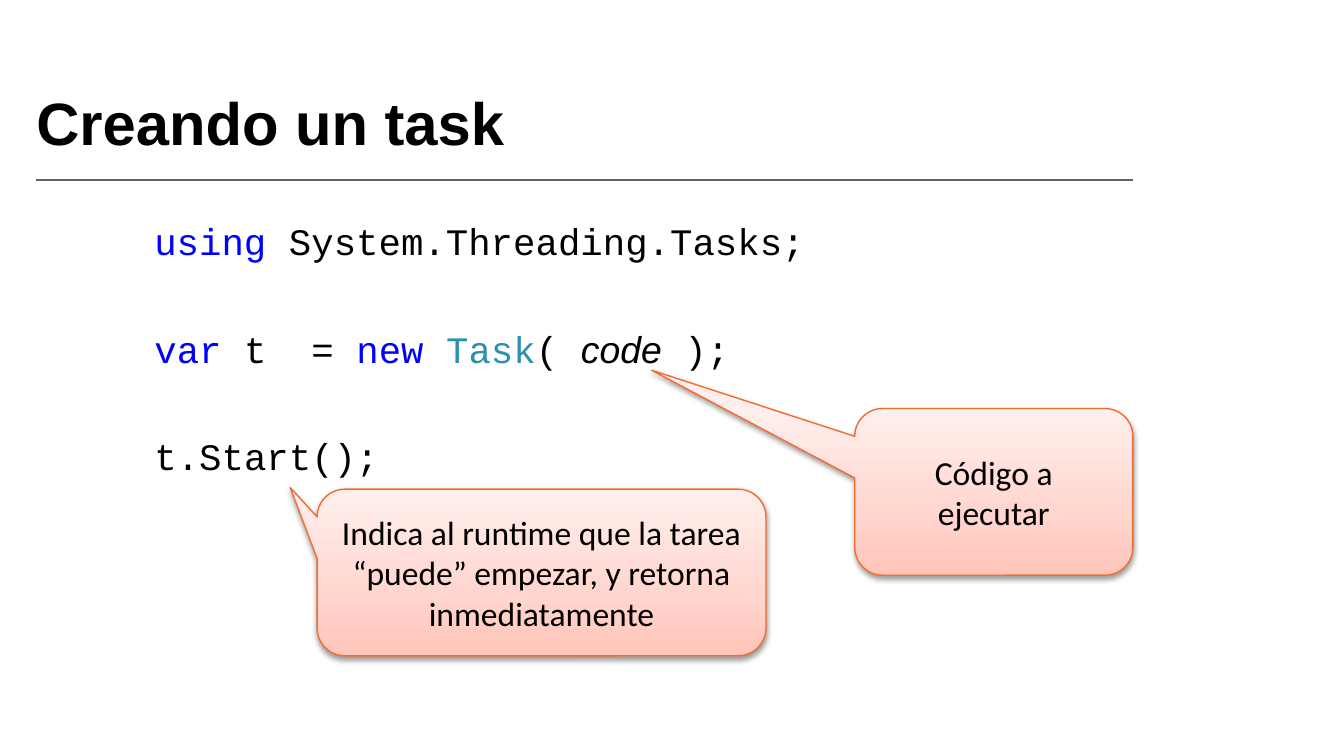
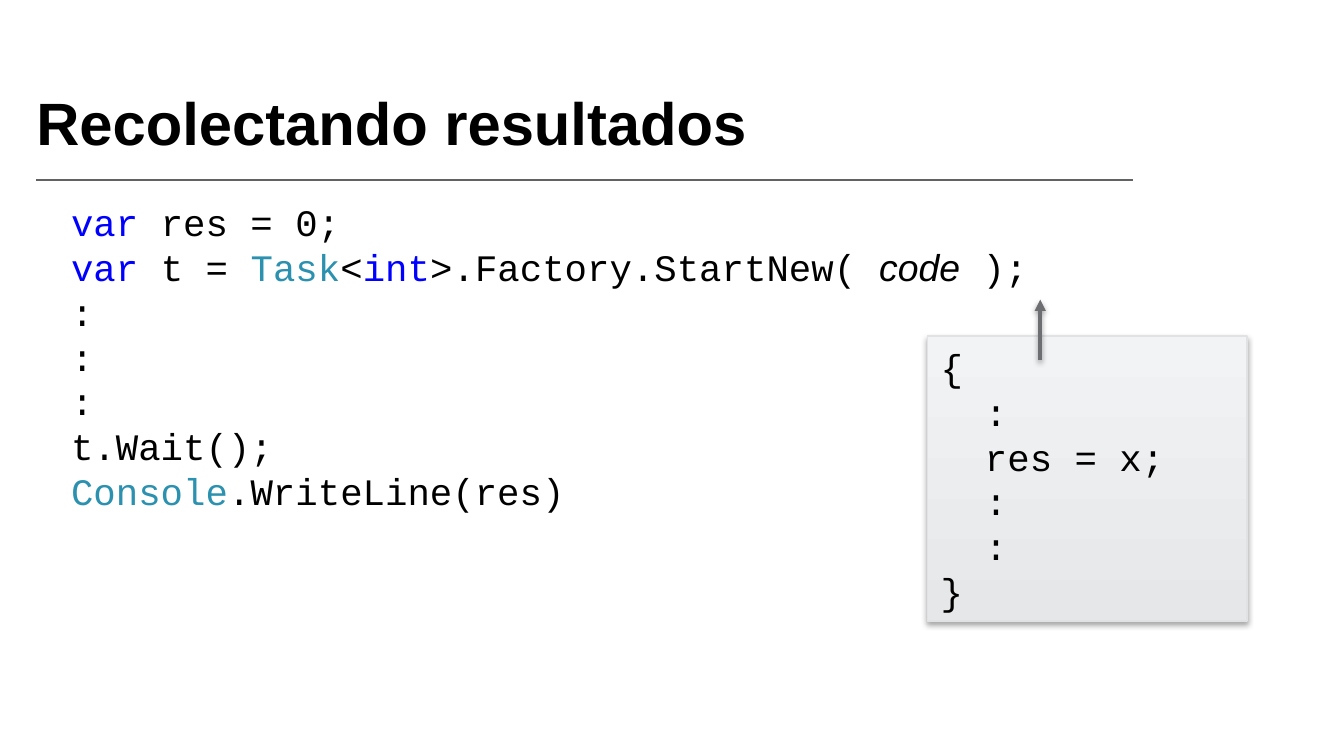
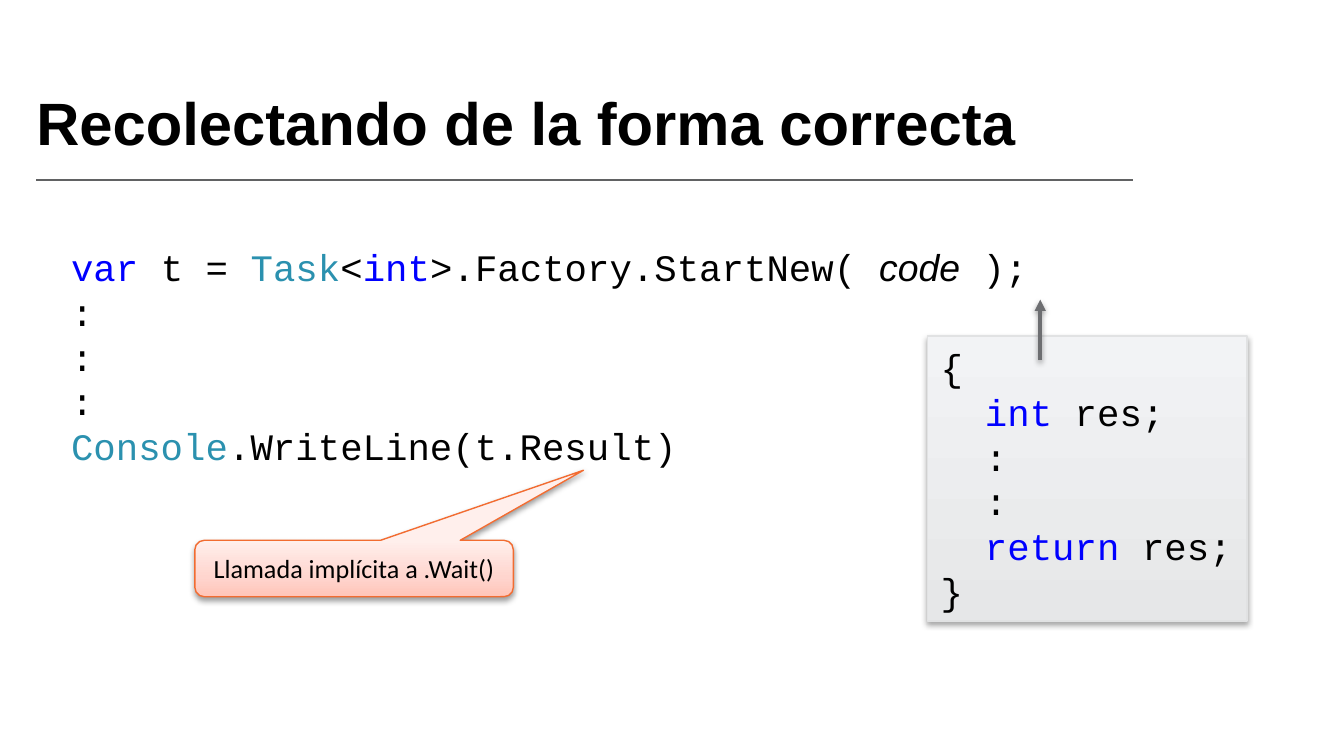
from pptx import Presentation
from pptx.dml.color import RGBColor
from pptx.enum.shapes import MSO_CONNECTOR, MSO_SHAPE
from pptx.enum.text import MSO_ANCHOR, MSO_AUTO_SIZE, PP_ALIGN
from pptx.oxml import parse_xml
from pptx.oxml.ns import nsdecls, qn
from pptx.util import Inches, Pt

COLORS = {
    "text": "000000",
    "background": "FFFFFF",
    "keyword": "0000FF",
    "type": "2B91AF",
    "rule": "616263",
    "arrow": "6D6E71",
    "callout_line": "F26C31",
    "block_line": "E1E2E3",
}
CALLOUT_STOPS = [(0, "FFC5B9"), (35, "FFD5CE"), (100, "FFEFEC")]
BLOCK_STOPS = [(0, "E6E7E8"), (100, "F2F3F5")]

KEYWORD = {"color": "keyword"}
TYPE = {"color": "type"}
TOKEN_FORMATS = {
    "using": KEYWORD, "var": KEYWORD, "new": KEYWORD, "int": KEYWORD,
    "return": KEYWORD, "Task": TYPE, "Console": TYPE,
    "code": {"font": "Arial", "italic": True},
}
START_TASK = "var| t = |Task|<|int|>.Factory.StartNew( |code| );"
INDENT = Inches(0.33)


def rgb(name):
    return RGBColor.from_string(COLORS[name])


def add_run(p, text, font="Courier New", size=20, color="text", bold=False, italic=False):
    r = p.add_run()
    r.text = text
    r.font.name = font
    r.font.size = Pt(size)
    r.font.color.rgb = rgb(color)
    r.font.bold = bold
    r.font.italic = italic


def set_gradient(shape, stops):
    """Fill from bottom (first stop) to top (last stop)."""
    gs = "".join(f'<a:gs pos="{pos * 1000}"><a:srgbClr val="{color}"/></a:gs>'
                 for pos, color in stops)
    geometry = shape._element.spPr.find(qn("a:prstGeom"))
    geometry.addnext(parse_xml(
        f'<a:gradFill {nsdecls("a")} rotWithShape="1"><a:gsLst>{gs}</a:gsLst>'
        '<a:lin ang="16200000" scaled="0"/></a:gradFill>'))


def set_shadow(shape, alpha=None, distance=1.6):
    """Drop a shadow straight down, or none when alpha is missing."""
    shadow = "" if alpha is None else (
        f'<a:outerShdw blurRad="{Pt(3.1)}" dist="{Pt(distance)}" dir="5400000" '
        f'rotWithShape="0"><a:srgbClr val="000000"><a:alpha val="{alpha * 1000}"/>'
        '</a:srgbClr></a:outerShdw>')
    shape._element.spPr.append(
        parse_xml(f'<a:effectLst {nsdecls("a")}>{shadow}</a:effectLst>'))


def add_line(s, x1, y1, x2, y2, color, width):
    line = s.shapes.add_connector(MSO_CONNECTOR.STRAIGHT, Inches(x1), Inches(y1),
                                  Inches(x2), Inches(y2))
    line.line.color.rgb = rgb(color)
    line.line.width = Pt(width)
    return line


def add_arrow(s):
    """Point from the code block up to the call that runs it."""
    arrow = add_line(s, 7.74, 2.68, 7.74, 2.23, "arrow", 2)
    arrow.line._get_or_add_ln().append(
        parse_xml(f'<a:tailEnd {nsdecls("a")} type="triangle"/>'))
    set_shadow(arrow, alpha=38)


def add_slide(prs, title, width=9.1):
    s = prs.slides.add_slide(prs.slide_layouts[0])
    subtitle = s.placeholders[1]._element
    subtitle.getparent().remove(subtitle)
    sp = s.shapes.title
    sp.left, sp.top, sp.width, sp.height = (Inches(v) for v in (0.27, 0.64, width, 0.64))
    tf = sp.text_frame
    tf.margin_left = tf.margin_right = tf.margin_top = tf.margin_bottom = 0
    tf.vertical_anchor = MSO_ANCHOR.TOP
    p = tf.paragraphs[0]
    p.alignment = PP_ALIGN.LEFT
    add_run(p, title, font="Arial", size=32, bold=True)
    set_shadow(add_line(s, 0.27, 1.34, 8.43, 1.34, "rule", 1))
    return s


def add_box(s, kind, x, y, w, h):
    sp = s.shapes.add_shape(kind, Inches(x), Inches(y), Inches(w), Inches(h))
    sp.text_frame.word_wrap = True
    sp.text_frame.vertical_anchor = MSO_ANCHOR.MIDDLE
    return sp


def set_outline(sp, color):
    sp.line.color.rgb = rgb(color)
    sp.line.width = Pt(0.75)


def write_code(tf, lines, indented=()):
    """Write code lines whose tokens are split by |; indented holds line numbers."""
    tf.auto_size = MSO_AUTO_SIZE.SHAPE_TO_FIT_TEXT
    for i, line in enumerate(lines):
        p = tf.paragraphs[0] if i == 0 else tf.add_paragraph()
        p.alignment = PP_ALIGN.LEFT
        if i in indented:
            p._p.get_or_add_pPr().set("marL", str(INDENT))
        for token in line.split("|"):
            add_run(p, token, **TOKEN_FORMATS.get(token, {}))


def add_code(s, x, y, w, h, *lines):
    sp = add_box(s, MSO_SHAPE.RECTANGLE, x, y, w, h)
    sp.fill.solid()
    sp.fill.fore_color.rgb = rgb("background")
    sp.line.fill.background()
    set_shadow(sp)
    write_code(sp.text_frame, lines)


def add_task_block(s, *body):
    """Draw the task's code between braces, with its arrow."""
    sp = add_box(s, MSO_SHAPE.RECTANGLE, 6.9, 2.5, 2.38, 2.12)
    set_gradient(sp, BLOCK_STOPS)
    set_outline(sp, "block_line")
    set_shadow(sp, alpha=35, distance=1.8)
    write_code(sp.text_frame, ["{", *body, "}"], range(1, len(body) + 1))
    add_arrow(s)


def add_callout(s, x, y, w, h, text, tip, size=18):
    """Draw a callout whose tip is an offset from its centre, in widths and heights."""
    sp = add_box(s, MSO_SHAPE.ROUNDED_RECTANGULAR_CALLOUT, x, y, w, h)
    sp.adjustments[0], sp.adjustments[1] = tip
    sp.adjustments[2] = 0.167
    set_gradient(sp, CALLOUT_STOPS)
    set_outline(sp, "callout_line")
    set_shadow(sp, alpha=38)
    p = sp.text_frame.paragraphs[0]
    p.alignment = PP_ALIGN.CENTER
    add_run(p, text, font="Calibri", size=size)


def main():
    prs = Presentation()
    prs.slide_width = Inches(10)
    prs.slide_height = prs.slide_width * 9 // 16

    s = add_slide(prs, "Creando un task", width=8.17)
    statements = [("using| System.Threading.Tasks;", 6.76),
                  ("var| t  = |new| |Task|( |code| );", 6.95),
                  ("t.Start();", 6.95)]
    for i, (statement, width) in enumerate(statements):
        add_code(s, 1.05, 1.57 + 0.8 * i, width, 0.44, statement)
    add_callout(s, 6.36, 3.04, 2.07, 1.24, "Código a ejecutar", (-1.23, -0.73))
    add_callout(s, 2.36, 3.64, 3.34, 1.24,
                "Indica al runtime que la tarea “puede” empezar, y retorna inmediatamente",
                (-0.56, -0.51))

    s = add_slide(prs, "Recolectando resultados")
    add_code(s, 0.43, 1.42, 8.85, 2.46, "var| res = 0;", START_TASK, ":", ":", ":",
             "t.Wait();", "Console|.WriteLine(res)")
    add_task_block(s, ":", "res = x;", ":", ":")

    s = add_slide(prs, "Recolectando de la forma correcta")
    add_code(s, 0.43, 1.76, 8.85, 1.78, START_TASK, ":", ":", ":",
             "Console|.WriteLine(t.Result)")
    add_task_block(s, "int| res;", ":", ":", "return| res;")
    add_callout(s, 1.45, 4.02, 2.37, 0.42, "Llamada implícita a .Wait()",
                (0.72, -1.74), size=14)

    prs.save("out.pptx")


if __name__ == "__main__":
    main()
